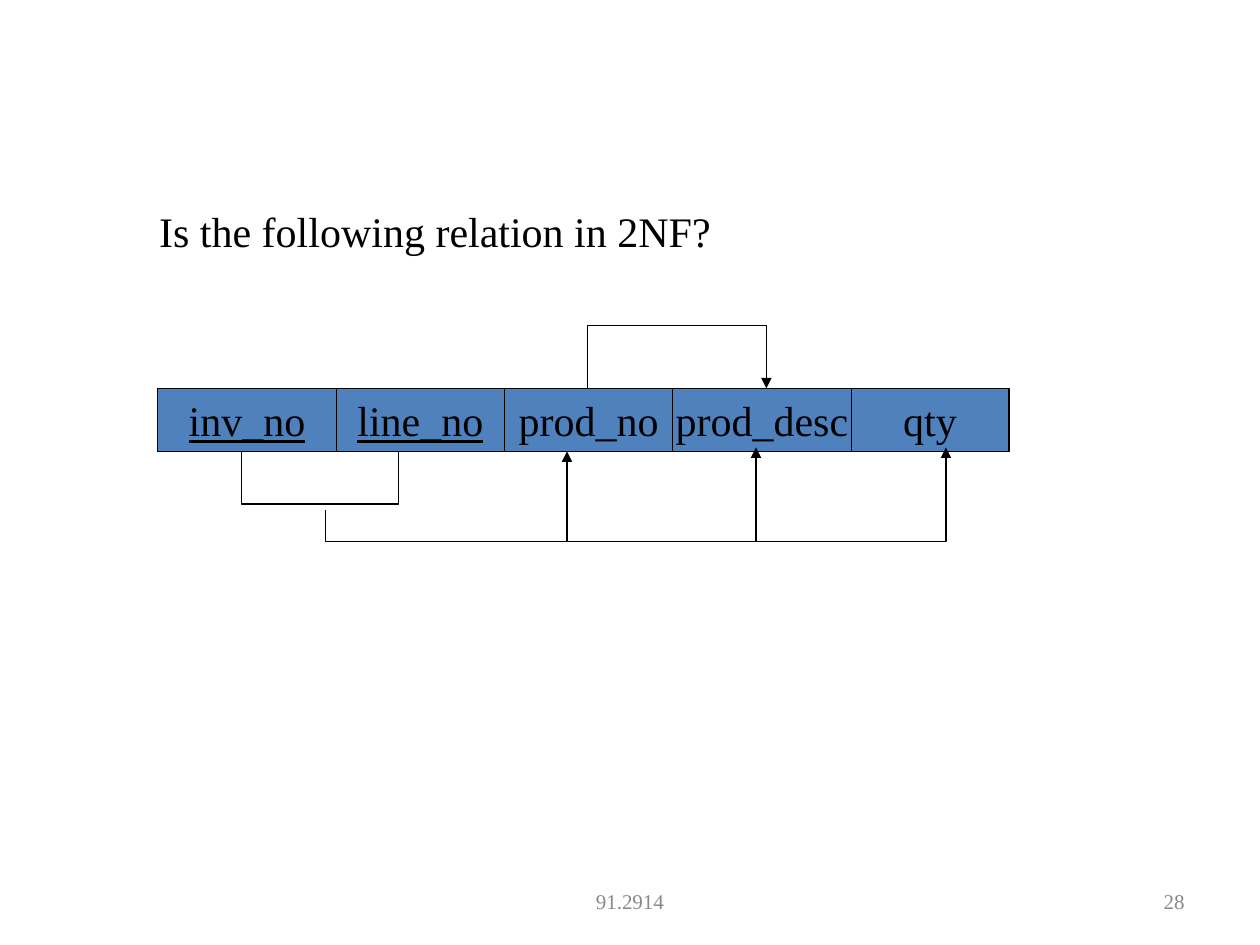
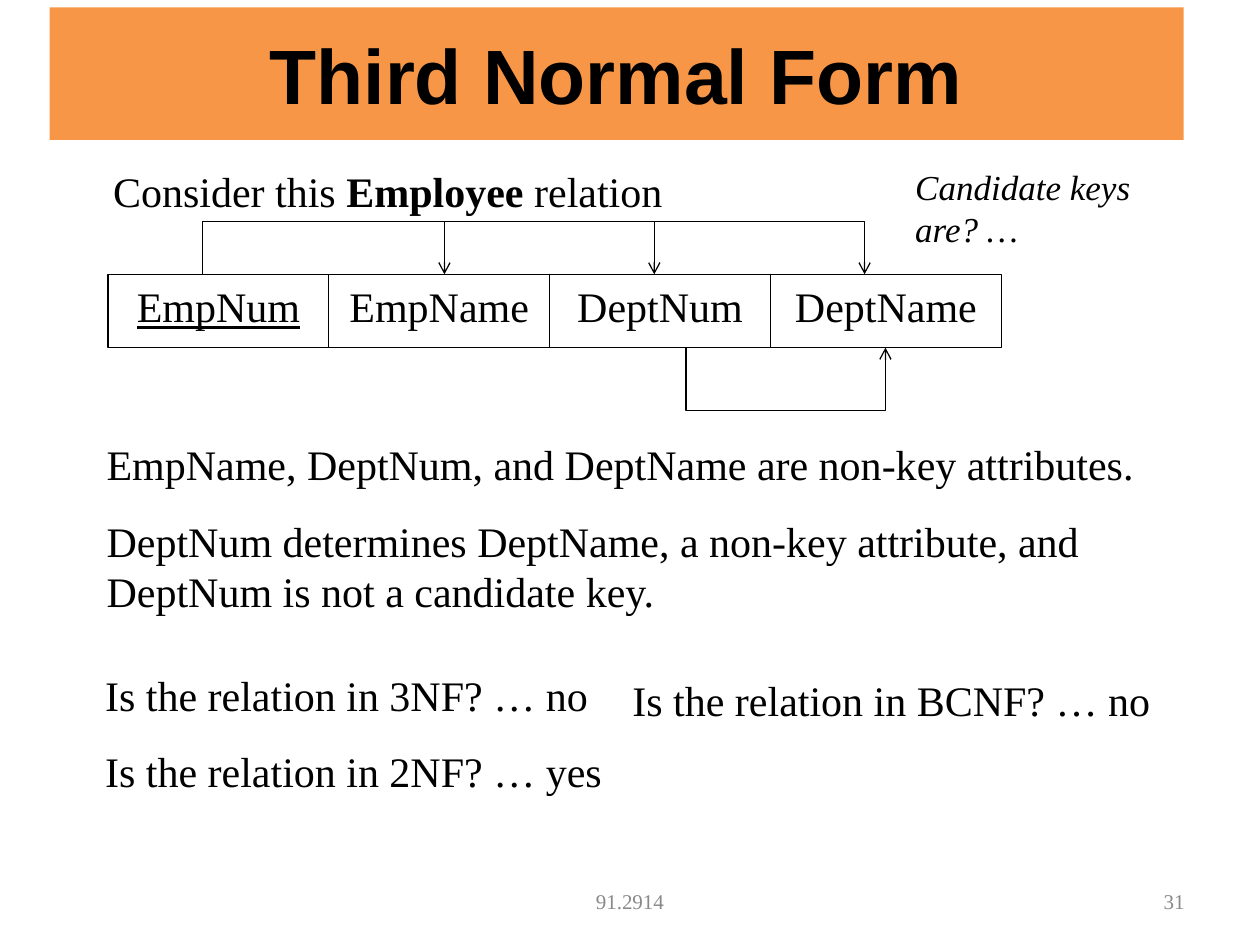
from itertools import accumulate

from lxml import etree
from pptx import Presentation
from pptx.dml.color import RGBColor
from pptx.enum.shapes import MSO_SHAPE
from pptx.enum.text import MSO_ANCHOR, PP_ALIGN
from pptx.oxml.ns import qn
from pptx.util import Cm, Pt

RECTANGLE = MSO_SHAPE.RECTANGLE
TOP, MIDDLE = MSO_ANCHOR.TOP, MSO_ANCHOR.MIDDLE
LEFT, CENTER, RIGHT = PP_ALIGN.LEFT, PP_ALIGN.CENTER, PP_ALIGN.RIGHT

# Shared look
SERIF, SANS = "Times New Roman", "Arial"
BLACK, GREY, WHITE = "000000", "898989", "FFFFFF"
BLUE, ORANGE = "4F81BD", "F79646"
LINE_WIDTH = 0.74
BODY_SIZE = 24
COURSE = "91.2914"

# Content, lengths in cm. A text is a list of paragraphs, a paragraph a list
# of (words, style) runs. A dependency is (start, rail height, targets, head).
SECOND_FORM = {
    "number": "28",
    "relation": {
        "left": 3.18, "top": 7.83, "height": 1.27, "fill": BLUE,
        "anchor": MIDDLE, "wrap": False,
        "attributes": [("inv_no", 3.6, "u"), ("line_no", 3.39, "u"),
                       ("prod_no", 3.39, ""), ("prod_desc", 3.6, ""),
                       ("qty", 3.18, "")],
    },
    "dependencies": [
        ((4.87, 9.1), 10.16, [(8.04, 9.1)], None),
        ((6.56, 10.29), 10.92,
         [(11.43, 9.1), (15.24, 9.02), (19.07, 9.02)], "triangle"),
        ((11.85, 7.83), 6.56, [(15.45, 7.83)], "triangle"),
    ],
    "texts": [
        {"box": (2.96, 4.02, 11.64, 1.27), "wrap": False,
         "paragraphs": [[("Is the following relation in 2NF?", "")]]},
    ],
}

THIRD_FORM = {
    "title": "Third Normal Form",
    "number": "31",
    "relation": {
        "left": 2.18, "top": 5.53, "height": 1.48, "fill": WHITE,
        "anchor": TOP, "wrap": True,
        "attributes": [("EmpNum", 4.45, "u"), ("EmpName", 4.45, ""),
                       ("DeptNum", 4.45, ""), ("DeptName", 4.66, "")],
    },
    "dependencies": [
        ((4.09, 5.53), 4.47,
         [(8.96, 5.53), (13.19, 5.53), (17.43, 5.53)], "arrow"),
        ((13.83, 7.01), 8.28, [(17.85, 7.01)], "arrow"),
    ],
    "texts": [
        {"box": (1.9, 8.71, 22.02, 3.84), "before": 15, "paragraphs": [
            [("EmpName, DeptNum, and DeptName are non-key attributes.", "")],
            [("DeptNum determines DeptName, a non-key attribute, and "
              "DeptNum is not a candidate key.", "")]]},
        {"box": (2.03, 3.2, 12.7, 1.27), "before": 15, "paragraphs": [
            [("Consider this", ""), (" Employee ", "b"), ("relation", "")]]},
        {"box": (2.12, 13.36, 11, 2.82), "before": 15, "inset": 0,
         "paragraphs": [[("Is the relation in 3NF? … no", "")],
                        [("Is the relation in 2NF? … yes", "")]]},
        {"box": (12.5, 13.46, 10.95, 1.27), "before": 15, "wrap": False,
         "paragraphs": [[("Is the relation in BCNF? … no", "")]]},
        {"box": (18.2, 3.2, 5.29, 1.96), "before": 12.5, "size": 20,
         "paragraphs": [[("Candidate keys are? …", "i")]]},
    ],
}


def rgb(value):
    return RGBColor.from_string(value)


def write(shape, paragraphs, size=BODY_SIZE, font=SERIF, color=BLACK,
          align=LEFT, anchor=TOP, wrap=True, inset=0.25, before=0):
    frame = shape.text_frame
    frame.word_wrap = wrap
    frame.vertical_anchor = anchor
    frame.margin_left, frame.margin_right = Cm(inset), Cm(0.25)
    frame.margin_top = frame.margin_bottom = Cm(0.13)
    for index, runs in enumerate(paragraphs):
        paragraph = frame.add_paragraph() if index else frame.paragraphs[0]
        paragraph.alignment = align
        paragraph.space_before = Pt(before)
        for words, style in runs:
            run = paragraph.add_run()
            run.text = words
            run.font.name = font
            run.font.size = Pt(size)
            run.font.color.rgb = rgb(color)
            run.font.bold = "b" in style
            run.font.italic = "i" in style
            run.font.underline = "u" in style


def add_text(slide, box, paragraphs, **look):
    write(slide.shapes.add_textbox(*map(Cm, box)), paragraphs, **look)


def add_box(slide, box, fill, line=None):
    shape = slide.shapes.add_shape(RECTANGLE, *map(Cm, box))
    shape.shadow.inherit = False
    shape.fill.solid()
    shape.fill.fore_color.rgb = rgb(fill)
    if line:
        shape.line.color.rgb = rgb(line)
        shape.line.width = Pt(LINE_WIDTH)
    else:
        shape.line.fill.background()
    return shape


def add_path(slide, points, head):
    start, *rest = [(Cm(x), Cm(y)) for x, y in points]
    builder = slide.shapes.build_freeform(*start)
    builder.add_line_segments(rest, close=False)
    path = builder.convert_to_shape()
    path.shadow.inherit = False
    path.fill.background()
    path.line.color.rgb = rgb(BLACK)
    path.line.width = Pt(LINE_WIDTH)
    if head:
        etree.SubElement(path.line._get_or_add_ln(), qn("a:tailEnd"), type=head)


def add_dependency(slide, start, rail, targets, head):
    """Run from the start to the rail, then branch off to each target."""
    points = [start, (start[0], rail)]
    for x, y in targets:
        add_path(slide, points + [(x, rail), (x, y)], head)
        points = [(x, rail)]


def add_relation(slide, relation):
    attributes = relation["attributes"]
    lefts = accumulate((width for _, width, _ in attributes),
                       initial=relation["left"])
    for left, (name, width, style) in zip(lefts, attributes):
        cell = add_box(slide, (left, relation["top"], width, relation["height"]),
                       relation["fill"], BLACK)
        write(cell, [[(name, style)]], align=CENTER,
              anchor=relation["anchor"], wrap=relation["wrap"])


def add_footer(slide, number):
    for words, left, width, align in ((COURSE, 8.68, 8.04, CENTER),
                                      (number, 18.2, 5.93, RIGHT)):
        add_text(slide, (left, 17.65, width, 1.02), [[(words, "")]], size=12,
                 color=GREY, align=align, anchor=MIDDLE)


def add_title(slide, title):
    band = add_box(slide, (1, 0.15, 22.86, 2.67), ORANGE)
    write(band, [[(title, "b")]], size=44, font=SANS, align=CENTER,
          anchor=MIDDLE)


deck = Presentation()
deck.slide_width, deck.slide_height = Cm(25.4), Cm(19.05)
for content in (SECOND_FORM, THIRD_FORM):
    slide = deck.slides.add_slide(deck.slide_layouts[6])
    if "title" in content:
        add_title(slide, content["title"])
    add_footer(slide, content["number"])
    add_relation(slide, content["relation"])
    for dependency in content["dependencies"]:
        add_dependency(slide, *dependency)
    for text in content["texts"]:
        add_text(slide, **text)

deck.save("out.pptx")
